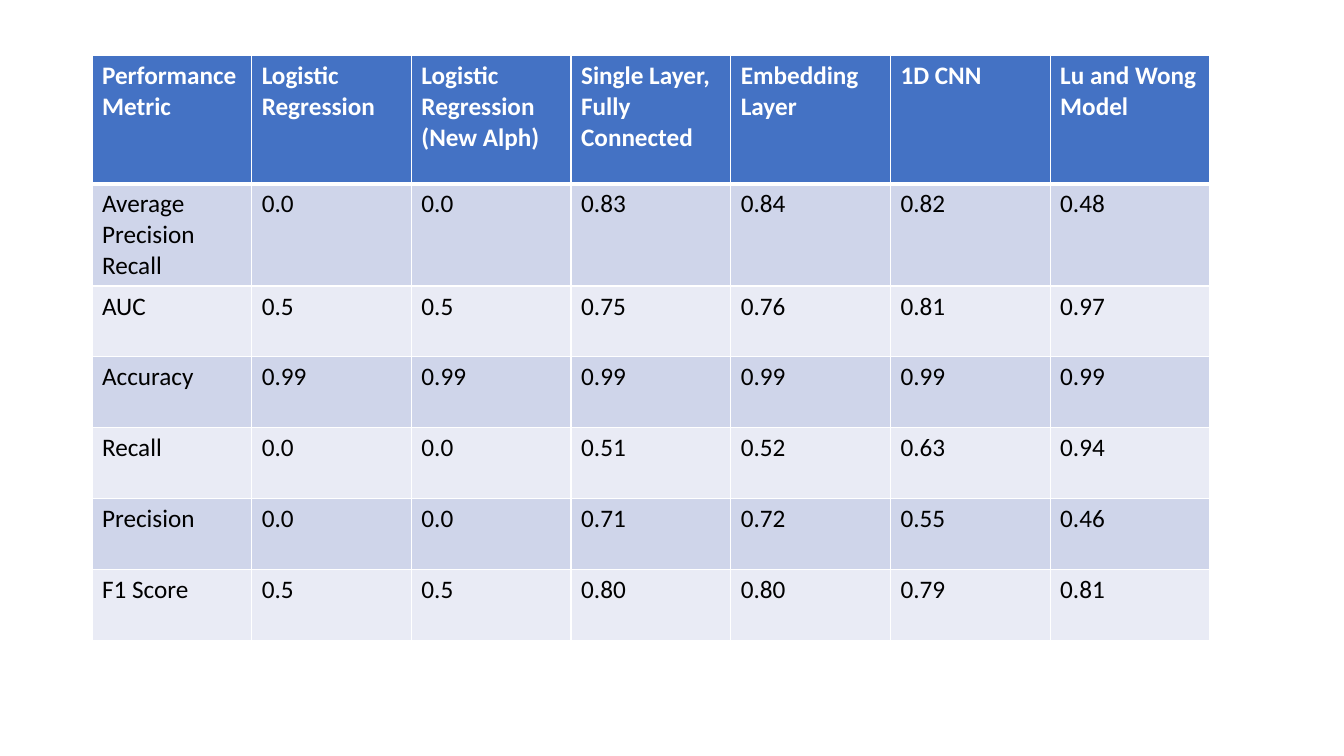
"""Build a slide with a table of performance metrics for each model."""
from dataclasses import dataclass

from lxml import etree
from pptx import Presentation
from pptx.dml.color import RGBColor
from pptx.oxml import ns
from pptx.util import Pt


@dataclass(frozen=True)
class Theme:
    font: str = "Calibri"
    size: float = 18
    header_fill: str = "4472C4"
    header_text: str = "FFFFFF"
    body_text: str = "000000"
    bands: tuple = ("CFD5EA", "E9EBF5")
    border: str = "FFFFFF"
    thin: float = 1
    thick: float = 3


THEME = Theme()
LEFT, TOP = 65.7, 39.9
COLUMN_WIDTH = 114.07
ROW_HEIGHTS = [91.3, 67.7] + [50.6] * 5
METRICS = [
    ["Performance Metric", "Logistic Regression", "Logistic Regression (New Alph)",
     "Single Layer, Fully Connected", "Embedding Layer", "1D CNN", "Lu and Wong Model"],
    ["Average Precision Recall", "0.0", "0.0", "0.83", "0.84", "0.82", "0.48"],
    ["AUC", "0.5", "0.5", "0.75", "0.76", "0.81", "0.97"],
    ["Accuracy", "0.99", "0.99", "0.99", "0.99", "0.99", "0.99"],
    ["Recall", "0.0", "0.0", "0.51", "0.52", "0.63", "0.94"],
    ["Precision", "0.0", "0.0", "0.71", "0.72", "0.55", "0.46"],
    ["F1 Score", "0.5", "0.5", "0.80", "0.80", "0.79", "0.81"],
]


def add_border(cell, side, width):
    properties = cell._tc.get_or_add_tcPr()
    line = etree.SubElement(properties, ns.qn(f"a:ln{side}"), w=str(Pt(width)))
    fill = etree.SubElement(line, ns.qn("a:solidFill"))
    etree.SubElement(fill, ns.qn("a:srgbClr"), val=THEME.border)


def write_cell(cell, words, fill, color, bold):
    cell.fill.solid()
    cell.fill.fore_color.rgb = RGBColor.from_string(fill)
    span = cell.text_frame.paragraphs[0].add_run()
    span.text = words
    span.font.name = THEME.font
    span.font.size = Pt(THEME.size)
    span.font.bold = bold
    span.font.color.rgb = RGBColor.from_string(color)


def add_metrics_table(page):
    columns = len(METRICS[0])
    frame = page.shapes.add_table(len(METRICS), columns, Pt(LEFT), Pt(TOP),
                                  Pt(COLUMN_WIDTH * columns), Pt(sum(ROW_HEIGHTS)))
    table = frame.table
    for column in table.columns:
        column.width = Pt(COLUMN_WIDTH)
    for index, (height, row) in enumerate(zip(ROW_HEIGHTS, METRICS)):
        table.rows[index].height = Pt(height)
        header = index == 0
        fill = THEME.header_fill if header else THEME.bands[(index - 1) % 2]
        color = THEME.header_text if header else THEME.body_text
        widths = {"L": THEME.thin, "R": THEME.thin,
                  "T": THEME.thick if index == 1 else THEME.thin,
                  "B": THEME.thick if header else THEME.thin}
        for cell, words in zip(table.rows[index].cells, row):
            for side, width in widths.items():
                add_border(cell, side, width)
            write_cell(cell, words, fill, color, header)


def main():
    deck = Presentation()
    deck.slide_width, deck.slide_height = Pt(960), Pt(540)
    page = deck.slides.add_slide(deck.slide_layouts[6])
    add_metrics_table(page)
    deck.save("out.pptx")


if __name__ == "__main__":
    main()
